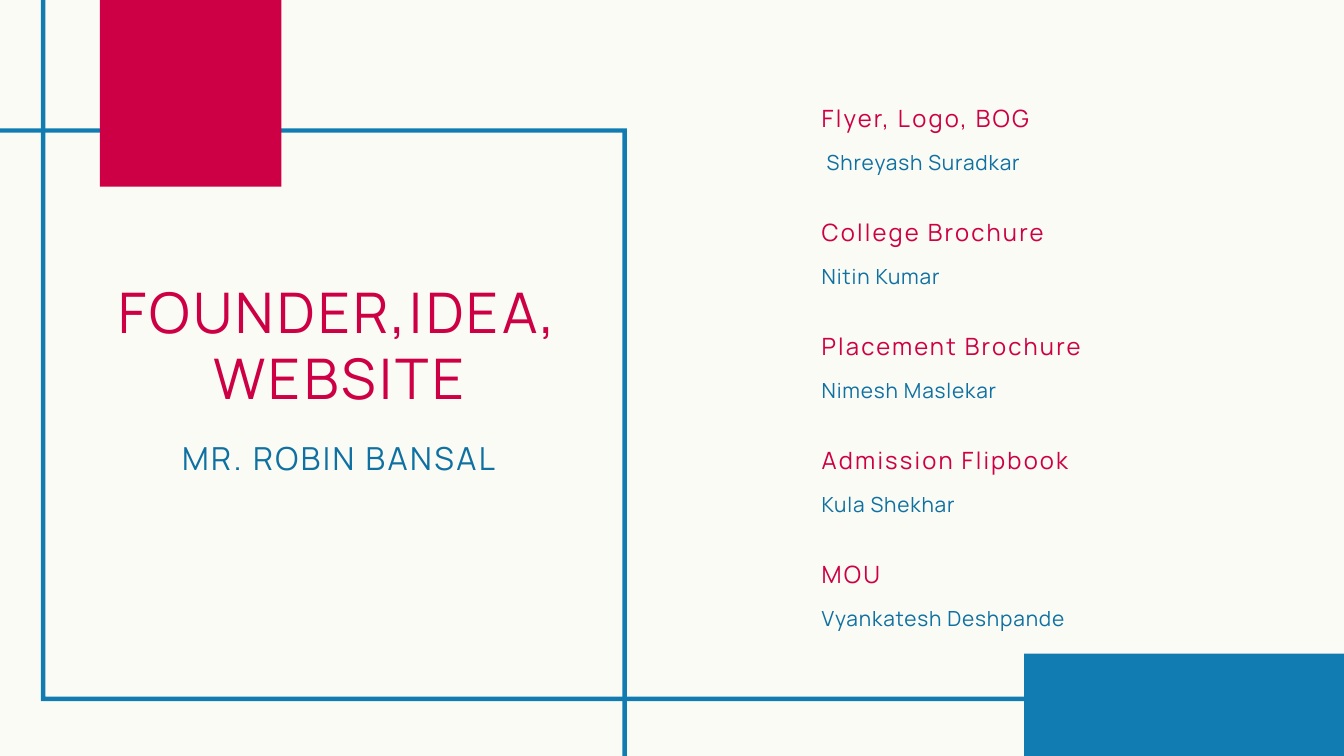
from pptx import Presentation
from pptx.dml.color import RGBColor
from pptx.enum.shapes import MSO_SHAPE as Shape
from pptx.enum.text import MSO_ANCHOR as Anchor, MSO_AUTO_SIZE as AutoSize, PP_ALIGN as Align
from pptx.util import Cm, Pt

CREAM = RGBColor(0xFB, 0xFB, 0xF5)
CRIMSON = RGBColor(0xCD, 0x00, 0x46)
BLUE = RGBColor(0x10, 0x7C, 0xB2)
TEXT_BLUE = RGBColor(0x0F, 0x71, 0xA2)
FONT = "Manrope"


def paint(shape, color):
    shape.shadow.inherit = False
    shape.fill.solid()
    shape.fill.fore_color.rgb = color
    shape.line.fill.background()


def write(shape, text, size, color, line_height, tracking, align=Align.LEFT):
    frame = shape.text_frame
    frame.text = text
    frame.word_wrap = True
    frame.auto_size = AutoSize.SHAPE_TO_FIT_TEXT
    frame.vertical_anchor = Anchor.TOP
    frame.margin_left = frame.margin_right = frame.margin_top = frame.margin_bottom = 0
    paragraph = frame.paragraphs[0]
    paragraph.alignment = align
    paragraph.line_spacing = Pt(line_height)
    paragraph.space_before = Pt(0)
    run = paragraph.runs[0]
    run.font.name = FONT
    run.font.size = Pt(size)
    run.font.color.rgb = color
    run._r.get_or_add_rPr().set("spc", str(round(tracking * 100)))


presentation = Presentation()
presentation.slide_width = Cm(50.8)
presentation.slide_height = Cm(28.58)
slide = presentation.slides.add_slide(presentation.slide_layouts[0])
slide.background.fill.solid()
slide.background.fill.fore_color.rgb = CREAM

# Two thin frames running off the slide: left, top, right, bottom
BORDER = 0.17
for left, top, right, bottom in [(1.55, -3.28, 51.59, 26.51), (-2.51, 4.85, 23.7, 28.9)]:
    builder = slide.shapes.build_freeform(Cm(left), Cm(top))
    builder.add_line_segments(
        [(Cm(right), Cm(top)), (Cm(right), Cm(bottom)), (Cm(left), Cm(bottom))], close=True)
    inner_left, inner_top = Cm(left + BORDER), Cm(top + BORDER)
    inner_right, inner_bottom = Cm(right - BORDER), Cm(bottom - BORDER)
    builder.move_to(inner_left, inner_top)
    builder.add_line_segments(
        [(inner_left, inner_bottom), (inner_right, inner_bottom), (inner_right, inner_top)],
        close=True)
    paint(builder.convert_to_shape(), BLUE)

# Solid corner blocks
for left, top, width, height, color in [
    (38.71, 24.71, 15.19, 4.65, BLUE),
    (3.78, -1.32, 6.86, 8.38, CRIMSON),
]:
    block = slide.shapes.add_shape(Shape.RECTANGLE, Cm(left), Cm(top), Cm(width), Cm(height))
    paint(block, color)

# Title and founder name
title, subtitle = slide.shapes.title, slide.placeholders[1]
for placeholder, top, height in [(title, 10.54, 5), (subtitle, 16.59, 1.47)]:
    placeholder.left, placeholder.top = Cm(3.78), Cm(top)
    placeholder.width, placeholder.height = Cm(18.06), Cm(height)
write(title, "FOUNDER,IDEA, WEBSITE", 60, CRIMSON, 70.8, 3.5, Align.CENTER)
write(subtitle, "MR. ROBIN BANSAL", 34, TEXT_BLUE, 40.8, 2.7, Align.CENTER)

# Credits: a task with the person below it, at equal steps
credits = [
    ("Flyer, Logo, BOG", " Shreyash Suradkar"),
    ("College Brochure", "Nitin Kumar"),
    ("Placement Brochure", "Nimesh Maslekar"),
    ("Admission Flipbook", "Kula Shekhar"),
    ("MOU", "Vyankatesh Deshpande"),
]
for index, (task, person) in enumerate(credits):
    top = 3.73 + 4.31 * index
    task_box = slide.shapes.add_textbox(Cm(31.06), Cm(top), Cm(15.24), Cm(1.19))
    write(task_box, task, 25.5, CRIMSON, 35.6, 2.3)
    person_box = slide.shapes.add_textbox(Cm(31.06), Cm(top + 1.68), Cm(15.24), Cm(1.09))
    write(person_box, person, 22.3, TEXT_BLUE, 33.4, 0.9)

presentation.save("out.pptx")
